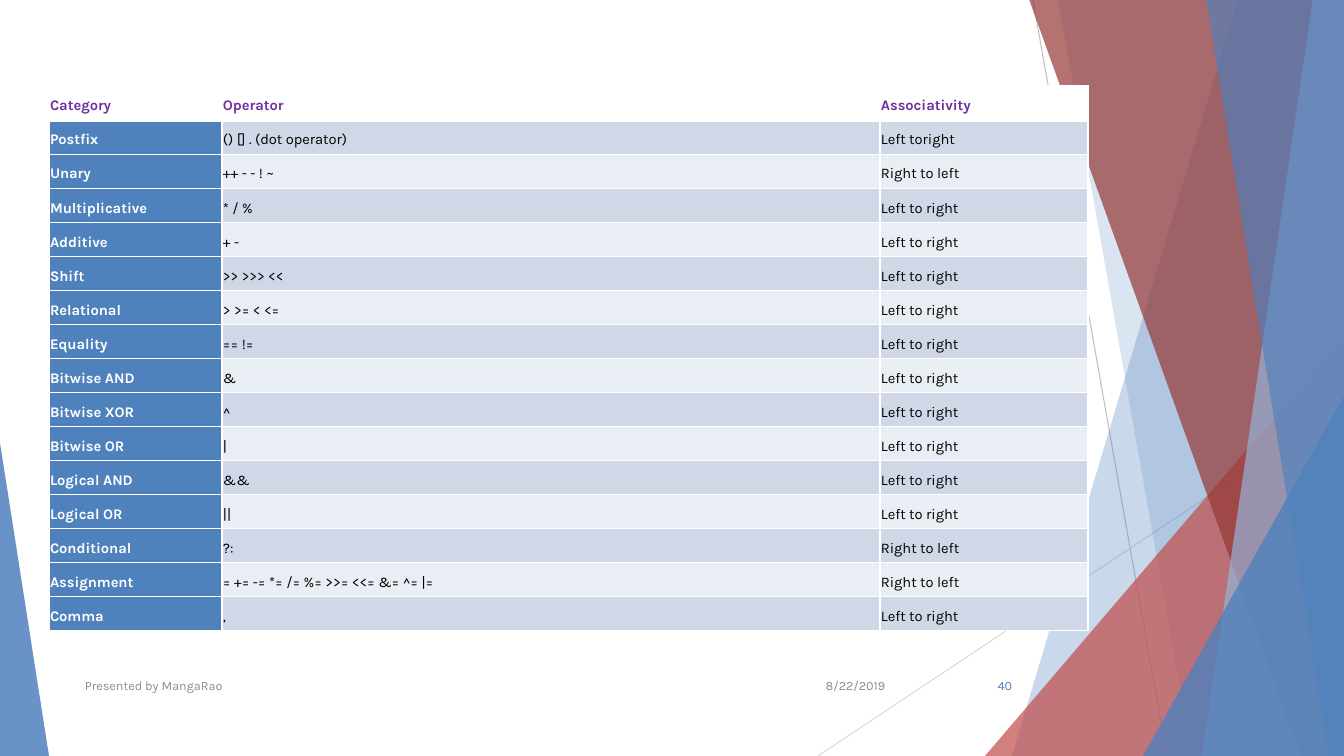
from pptx import Presentation
from pptx.dml.color import RGBColor
from pptx.enum.shapes import MSO_CONNECTOR, MSO_SHAPE
from pptx.enum.text import MSO_ANCHOR, PP_ALIGN
from pptx.oxml import parse_xml
from pptx.oxml.ns import nsdecls, qn
from pptx.oxml.xmlchemy import OxmlElement
from pptx.util import Emu, Inches, Pt

STRAIGHT, TRIANGLE = MSO_CONNECTOR.STRAIGHT, MSO_SHAPE.ISOSCELES_TRIANGLE
MIDDLE, LEFT, RIGHT = MSO_ANCHOR.MIDDLE, PP_ALIGN.LEFT, PP_ALIGN.RIGHT

SCALE = Inches(7.5) / 756  # EMU per px
FONT = "Karla"
WHITE = RGBColor(0xFF, 0xFF, 0xFF)
BLACK = RGBColor(0x00, 0x00, 0x00)
BLUE = RGBColor(0x4F, 0x81, 0xBD)
LIGHT_BLUE = RGBColor(0x95, 0xB3, 0xD7)
RED = RGBColor(0xC0, 0x50, 0x4D)
DARK_RED = RGBColor(0x95, 0x37, 0x35)
PURPLE = RGBColor(0x70, 0x30, 0xA0)
GREY = RGBColor(0x8C, 0x8C, 0x8C)
LINE_GREY = RGBColor(0xBF, 0xBF, 0xBF)
PALE_GREY = RGBColor(0xD9, 0xD9, 0xD9)
BANDS = (RGBColor(0xE9, 0xED, 0xF4), RGBColor(0xD0, 0xD8, 0xE8))


def px(n):
    return Emu(round(n * SCALE))


def paint(sp, color, opacity):
    """Give a shape a see-through fill without line or shadow."""
    sp.shadow.inherit = False
    sp.line.fill.background()
    sp.fill.solid()
    sp.fill.fore_color.rgb = color
    alpha = OxmlElement("a:alpha")
    alpha.set("val", str(opacity * 1000))
    sp._element.spPr.find(qn("a:solidFill"))[0].append(alpha)


prs = Presentation()
prs.slide_width, prs.slide_height = px(1344), px(756)
s = prs.slides.add_slide(prs.slide_layouts[6])

# Thin background lines
for x1, y1, x2, y2, color in [
    (1033, 0, 1167, 756, LINE_GREY),
    (1344, 406, 818, 756, PALE_GREY),
]:
    line = s.shapes.add_connector(STRAIGHT, px(x1), px(y1), px(x2), px(y2))
    line.line.color.rgb = color
    line.line.width = Pt(0.75)
    line._element.spPr.append(OxmlElement("a:effectLst"))

# Facets: bands (top x, bottom x) reach the right edge; triangles are (x, y, w, h, apex)
for geometry, color, opacity in [
    ((1238, 1012), BLUE, 30),
    ((1058, 1192), BLUE, 20),
    ((985, 336, 359, 420, 1), RED, 72),
    ((1029, 1301), DARK_RED, 70),
    ((1313, 1202), LIGHT_BLUE, 70),
    ((1206, 1329), BLUE, 65),
    ((1143, 396, 201, 360, 1), BLUE, 80),
    ((0, 443, 49, 313, 0), BLUE, 85),
]:
    if len(geometry) == 2:
        top_x, bottom_x = geometry
        builder = s.shapes.build_freeform(top_x, -1, scale=SCALE)
        builder.add_line_segments([(1344, -1), (1344, 756), (bottom_x, 756)], close=True)
        sp = builder.convert_to_shape()
    else:
        x, y, w, h, apex = geometry
        sp = s.shapes.add_shape(TRIANGLE, px(x), px(y), px(w), px(h))
        sp.adjustments[0] = apex
    paint(sp, color, opacity)

# Operator precedence table
rows = [
    ("Category", "Operator", "Associativity"),
    ("Postfix", "() [] . (dot operator)", "Left toright"),
    ("Unary", "++ - - ! ~", "Right to left"),
    ("Multiplicative", "* / %", "Left to right"),
    ("Additive", "+ -", "Left to right"),
    ("Shift", ">> >>> <<", "Left to right"),
    ("Relational", "> >= < <=", "Left to right"),
    ("Equality", "== !=", "Left to right"),
    ("Bitwise AND", "&", "Left to right"),
    ("Bitwise XOR", "^", "Left to right"),
    ("Bitwise OR", "|", "Left to right"),
    ("Logical AND", "&&", "Left to right"),
    ("Logical OR", "||", "Left to right"),
    ("Conditional", "?:", "Right to left"),
    ("Assignment", "= += -= *= /= %= >>= <<= &= ^= |=", "Right to left"),
    ("Comma", ",", "Left to right"),
]
table = s.shapes.add_table(len(rows), 3, px(49), px(86), px(1039), px(545)).table
table.first_row = table.horz_banding = False
for column, width in zip(table.columns, (173, 658, 208)):
    column.width = px(width)

for i, row in enumerate(rows):
    table.rows[i].height = px(545) // len(rows)
    for j, text in enumerate(row):
        if i == 0:
            fill, color = WHITE, PURPLE
        elif j == 0:
            fill, color = BLUE, WHITE
        else:
            fill, color = BANDS[i % 2], BLACK
        cell = table.cell(i, j)
        cell.fill.solid()
        cell.fill.fore_color.rgb = fill
        cell.vertical_anchor = MIDDLE
        cell.margin_left = cell.margin_right = px(1)
        cell.margin_top = cell.margin_bottom = px(1)
        cell.text_frame.text = text
        p = cell.text_frame.paragraphs[0]
        p.line_spacing, p.space_after = Pt(16.5), Pt(15)
        r = p.runs[0]
        r.font.name, r.font.size = FONT, Pt(10.5)
        r.font.bold = i == 0 or j == 0
        r.font.color.rgb = color
        # White borders, thick between the header and the body
        widths = {"lnL": 1, "lnR": 1, "lnT": 3 if i == 1 else 1, "lnB": 3 if i == 0 else 1}
        for k, (side, width) in enumerate(widths.items()):
            border = parse_xml(
                f'<a:{side} {nsdecls("a")} w="{Pt(width)}"><a:solidFill>'
                f'<a:srgbClr val="{WHITE}"/></a:solidFill></a:{side}>'
            )
            cell._tc.get_or_add_tcPr().insert(k, border)

# Date, footer and slide number
for x, w, text, color, align in [
    (794, 101, "8/22/2019", GREY, RIGHT),
    (75, 694, "Presented by MangaRao", GREY, LEFT),
    (947, 75, "40", BLUE, RIGHT),
]:
    tf = s.shapes.add_textbox(px(x), px(666), px(w), px(40)).text_frame
    tf.word_wrap = True
    tf.vertical_anchor = MIDDLE
    tf.text = text
    p = tf.paragraphs[0]
    p.alignment = align
    r = p.runs[0]
    r.font.name, r.font.size = FONT, Pt(9)
    r.font.color.rgb = color

prs.save("out.pptx")
